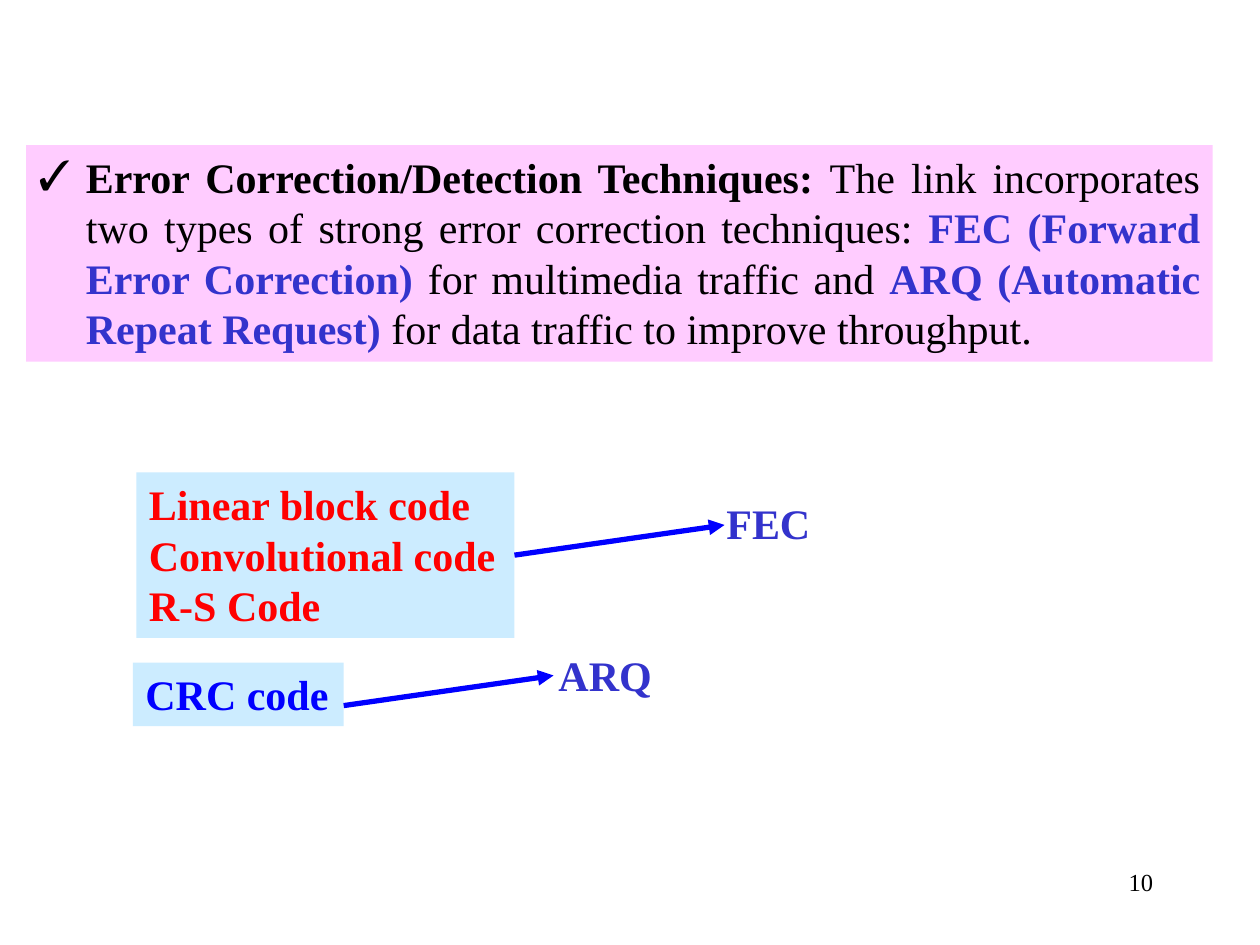
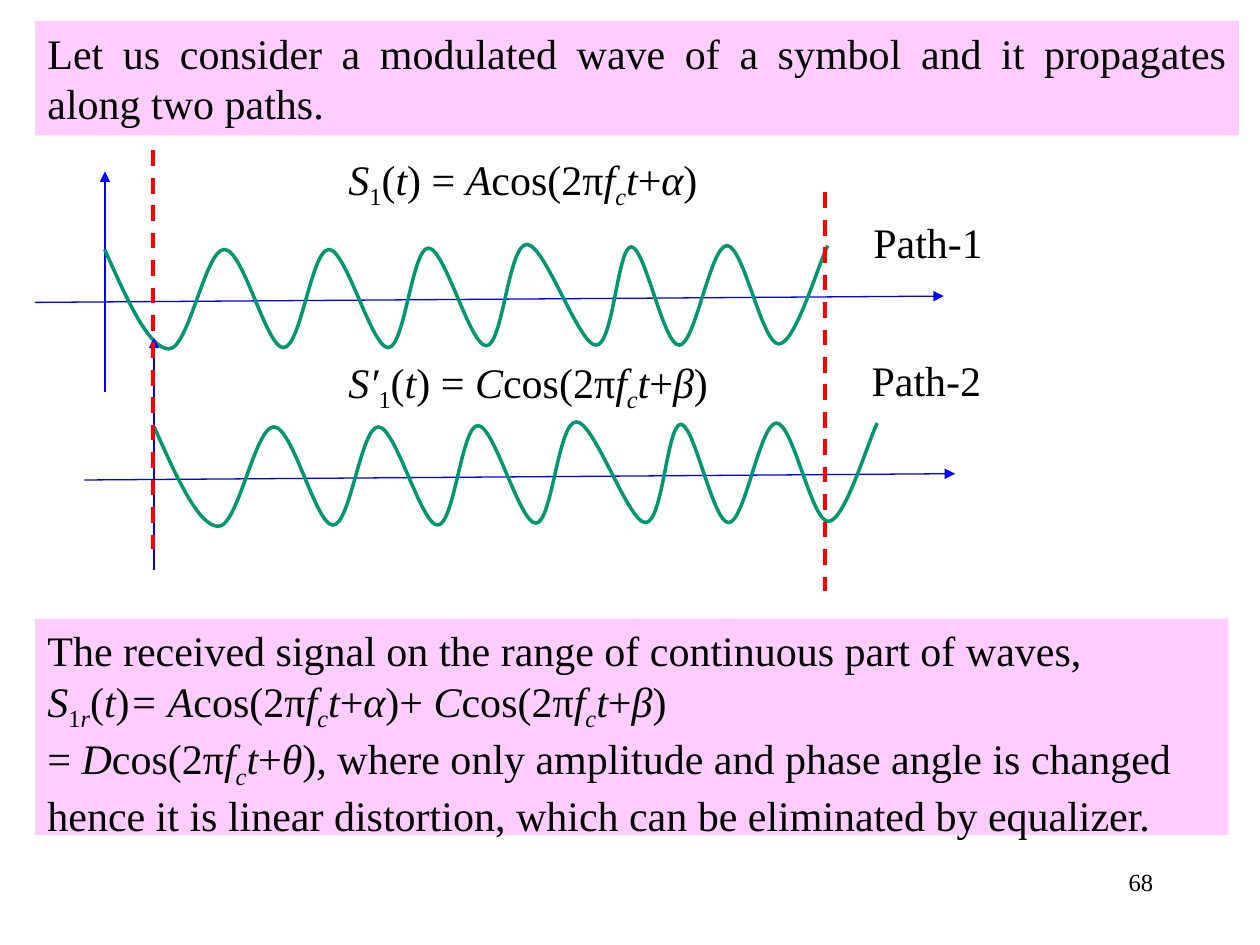
from lxml.etree import SubElement
from pptx import Presentation
from pptx.dml.color import RGBColor
from pptx.enum.dml import MSO_LINE
from pptx.enum.shapes import MSO_CONNECTOR, MSO_SHAPE
from pptx.enum.text import MSO_ANCHOR, PP_ALIGN as ALIGN
from pptx.oxml.ns import qn
from pptx.util import Pt

rgb = RGBColor.from_string
FONT = "Times New Roman"
BLACK, RED, BLUE, INDIGO, GREEN = "000000", "FF0000", "0000FF", "3333CC", "009771"
PINK, PALE_BLUE = "FFCCFF", "CCECFF"


def add_text(slide, box, paragraphs, fill=None, color=BLACK, size=24,
             align=ALIGN.LEFT, wrap=True, bullet=None):
    """Each paragraph is a list of (text, style[, colour]); style letters: b, i, - for subscript."""
    box = [Pt(length) for length in box]
    if fill:
        shape = slide.shapes.add_shape(MSO_SHAPE.RECTANGLE, *box)
        shape.shadow.inherit = False
        shape.fill.solid()
        shape.fill.fore_color.rgb = rgb(fill)
        shape.line.fill.background()
    else:
        shape = slide.shapes.add_textbox(*box)
    frame = shape.text_frame
    frame.word_wrap = wrap
    frame.vertical_anchor = MSO_ANCHOR.TOP
    for index, runs in enumerate(paragraphs):
        paragraph = frame.add_paragraph() if index else frame.paragraphs[0]
        if bullet:
            properties = paragraph._p.get_or_add_pPr()
            properties.set("marL", str(Pt(27)))
            properties.set("indent", str(Pt(-27)))
            SubElement(properties, qn("a:buFont"), typeface=FONT)
            SubElement(properties, qn("a:buChar"), char=bullet)
        paragraph.alignment = align
        for text, style, *run_color in runs:
            run = paragraph.add_run()
            run.text = text
            values = {"name": FONT, "size": Pt(size), "bold": "b" in style, "italic": "i" in style}
            for name, value in values.items():
                setattr(run.font, name, value)
            run.font.color.rgb = rgb(run_color[0] if run_color else color)
            if "-" in style:
                run._r.get_or_add_rPr().set("baseline", "-25000")
    return shape


def add_line(shapes, start, end, color, width, arrow=True):
    """Draw an arrow, or a dashed line when arrow is False."""
    connector = shapes.add_connector(MSO_CONNECTOR.STRAIGHT, *[Pt(v) for v in start + end])
    connector.line.color.rgb = rgb(color)
    connector.line.width = Pt(width)
    if arrow:
        SubElement(connector.line._get_or_add_ln(), qn("a:tailEnd"), type="triangle")
    else:
        connector.line.dash_style = MSO_LINE.DASH
    SubElement(connector._element.spPr, qn("a:effectLst"))
    return connector


presentation = Presentation()
presentation.slide_width, presentation.slide_height = Pt(720), Pt(540)
blank = presentation.slide_layouts[6]
codes_slide, waves_slide = [presentation.slides.add_slide(blank) for _ in range(2)]
for slide, number in ((codes_slide, "10"), (waves_slide, "68")):
    add_text(slide, (516, 492, 150, 36), [[(number, "")]], size=14, align=ALIGN.RIGHT)

# Error correction codes
add_text(codes_slide, (15, 83, 678, 123.7), [[
    ("Error Correction/Detection Techniques: ", "b"),
    ("The link incorporates two types of strong error correction techniques: ", ""),
    ("FEC (Forward Error Correction) ", "b", INDIGO),
    ("for multimedia traffic and ", ""),
    ("ARQ (Automatic Repeat Request) ", "b", INDIGO),
    ("for data traffic to improve throughput.", ""),
]], fill=PINK, align=ALIGN.JUSTIFY, bullet="✓")
fec_codes = add_text(codes_slide, (78, 270, 216, 94.5),
                     [[(code, "b")] for code in ("Linear block code", "Convolutional code", "R-S Code")],
                     fill=PALE_BLUE, color=RED)
add_text(codes_slide, (76, 378.7, 120.4, 36.3), [[("CRC code", "b")]],
         fill=PALE_BLUE, color=BLUE, wrap=False)
fec_arrow = add_line(codes_slide.shapes, (294, 317.3), (414, 300), BLUE, 3)
fec_arrow.begin_connect(fec_codes, 3)
add_line(codes_slide.shapes, (196.4, 403.2), (316.3, 386), BLUE, 3)
for label, left, top, width in (("FEC", 408, 281, 63), ("ARQ", 312, 367.7, 68)):
    add_text(codes_slide, (left, top, width, 36), [[(label, "b")]], color=INDIGO, wrap=False)

# Two propagation paths
crests_and_troughs = [
    (59.8, 142.6), (96.5, 199.4), (128.2, 142.6), (162, 198.7), (187.9, 142.6),
    (221.8, 198.7), (244.8, 141.8), (277.9, 197.6), (301, 139.7), (340.6, 197.3),
    (360.7, 141.1), (388.1, 197.3), (415.4, 140.4), (445, 196.6), (473, 140.4)]
paths = [  # wave shift, then vertical and horizontal axes
    ((0, 0), ((60, 224), (60, 98)), ((20, 172.8), (539.3, 169.2))),
    ((28.3, 101.4), ((88, 325.5), (88, 193)), ((48.2, 274.3), (545.8, 270.7)))]
for (shift_x, shift_y), *axes in paths:
    group = waves_slide.shapes.add_group_shape()
    for start, end in axes:
        add_line(group.shapes, start, end, BLUE, 0.75)
    points = [(x + shift_x, y + shift_y) for x, y in crests_and_troughs]
    # Level handles at each inner point, one sixth of the distance between its neighbours
    curve = []
    for before, (x, y), after in zip(points, points[1:], points[2:]):
        handle = (after[0] - before[0]) / 6
        curve += [(x - handle, y), (x, y), (x + handle, y)]
    (first_x, first_y), (last_x, last_y) = points[0], points[-1]
    first_handle = ((first_x + curve[0][0]) / 2, (first_y + curve[0][1]) / 2)
    last_handle = (last_x - 5, last_y + 9.4)
    curve = [first_handle, *curve, last_handle, points[-1]]
    builder = group.shapes.build_freeform(Pt(first_x), Pt(first_y))
    builder.add_line_segments([(Pt(x), Pt(y)) for x, y in curve], close=False)
    wave = builder.convert_to_shape()
    wave.shadow.inherit = False
    wave.fill.background()
    wave.line.color.rgb = rgb(GREEN)
    wave.line.width = Pt(2)
    # Turn every three straight segments into one Bézier segment
    outline = wave._element.find(".//" + qn("a:path"))
    segments = outline.findall(qn("a:lnTo"))
    for index in range(0, len(segments), 3):
        bezier = SubElement(outline, qn("a:cubicBezTo"))
        for segment in segments[index:index + 3]:
            bezier.append(segment[0])
            outline.remove(segment)

for x, top, bottom in ((471.7, 110, 337.7), (87.2, 86, 314)):
    add_line(waves_slide.shapes, (x, top), (x, bottom), RED, 2.25, arrow=False)

cosine = {amplitude: [(amplitude, "i"), ("cos(2π", ""), ("f", "i"), ("c", "i-"), ("t", "i"),
                      ("+", ""), (phase, "i"), (")", "")]
          for amplitude, phase in (("A", "α"), ("C", "β"), ("D", "θ"))}
for symbol, amplitude, top in (("S", "A", 84), ("S′", "C", 200)):
    signal = [(symbol, "i"), ("1", "-"), ("(", ""), ("t", "i"), (") = ", "")]
    add_text(waves_slide, (192, top, 240.5, 36), [signal + cosine[amplitude]])
for label, left, top in (("Path-1", 492, 120), ("Path-2", 491, 199)):
    add_text(waves_slide, (left, top, 90, 36), [[(label, "")]])

received = [("S", "i"), ("1", "-"), ("r", "i-"), ("(", ""), ("t", "i"), (")", ""), ("= ", "i")]
add_text(waves_slide, (20, 353.5, 682, 123.7), [
    [("The received signal on the range of continuous part of waves,", "")],
    received + cosine["A"] + [("+ ", "")] + cosine["C"],
    [("= ", "")] + cosine["D"]
    + [(", ", "i"), ("where only amplitude and phase angle is changed", "")],
    [("hence it is linear distortion, which can be eliminated by equalizer.", "")],
], fill=PINK, align=ALIGN.JUSTIFY)
add_text(waves_slide, (20, 12, 688, 65.4), [[
    ("Let us consider a modulated wave of a symbol and it propagates along two paths.", "")]],
    fill=PINK, align=ALIGN.JUSTIFY)

presentation.save("out.pptx")
